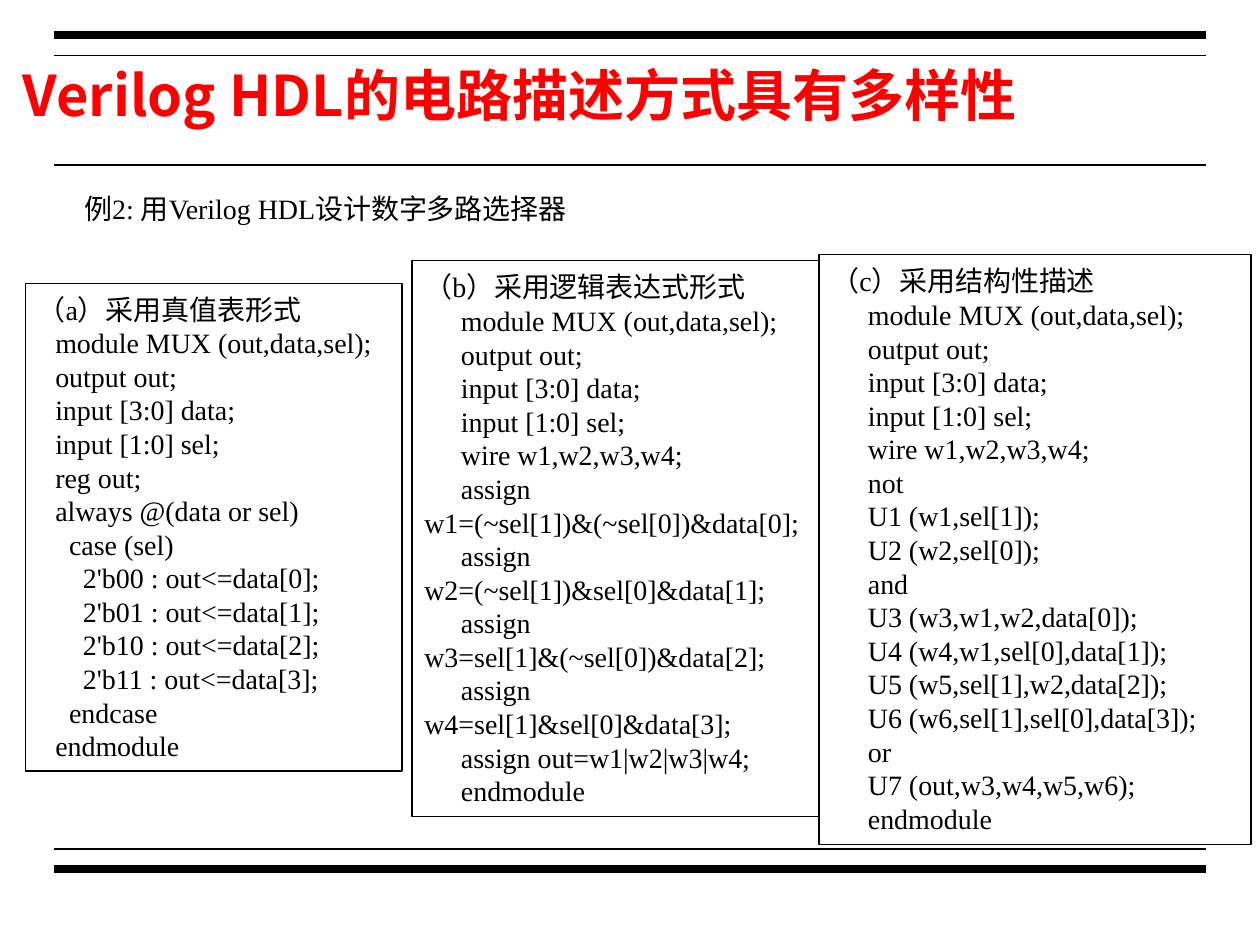
from dataclasses import dataclass

from lxml import etree
from pptx import Presentation
from pptx.dml.color import RGBColor
from pptx.enum.shapes import MSO_CONNECTOR, MSO_SHAPE
from pptx.enum.text import MSO_ANCHOR, MSO_AUTO_SIZE, PP_ALIGN
from pptx.oxml.ns import qn
from pptx.util import Inches, Pt

STRAIGHT = MSO_CONNECTOR.STRAIGHT
RECTANGLE = MSO_SHAPE.RECTANGLE
MIDDLE = MSO_ANCHOR.MIDDLE
GROW = MSO_AUTO_SIZE.SHAPE_TO_FIT_TEXT
LEFT = PP_ALIGN.LEFT
TITLE_ONLY = 5


@dataclass
class Theme:
    black: RGBColor = RGBColor(0, 0, 0)
    red: RGBColor = RGBColor(255, 0, 0)
    title_font: str = "Noto Sans CJK JP"
    body_font: str = "Times New Roman"
    east_asian_font: str = "Noto Sans CJK JP"
    title_size: int = 32
    body_size: int = 16
    line_spacing: float = 1.0
    border: float = 0.75
    thin: float = 1
    thick: float = 4.5
    space: float = 0.055  # width of one leading space in code, inches


class SlideBuilder:
    def __init__(self, prs, theme):
        self.theme = theme
        self.s = prs.slides.add_slide(prs.slide_layouts[TITLE_ONLY])

    def rule(self, y, width):
        """Horizontal rule across the page."""
        line = self.s.shapes.add_connector(
            STRAIGHT, Inches(0.43), Inches(y), Inches(9.57), Inches(y))
        line.line.color.rgb = self.theme.black
        line.line.width = Pt(width)
        etree.SubElement(line._element.spPr, qn("a:effectLst"))

    def place(self, sp, box):
        for name, value in zip(("left", "top", "width", "height"), box):
            setattr(sp, name, Inches(value))

    def paragraph(self, p, text, font, size, color, bold=False, indent=0):
        p.alignment = LEFT
        pPr = p._p.get_or_add_pPr()
        pPr.set("marL", "0")
        pPr.set("indent", str(Inches(indent)))
        r = p.add_run()
        r.text = text
        style = {"name": font, "size": Pt(size), "bold": bold}
        for name, value in style.items():
            setattr(r.font, name, value)
        r.font.color.rgb = color
        ea = etree.SubElement(r._r.get_or_add_rPr(), qn("a:ea"))
        ea.set("typeface", self.theme.east_asian_font)

    def body(self, p, text, indent=0):
        t = self.theme
        p.line_spacing = t.line_spacing
        self.paragraph(p, text, t.body_font, t.body_size, t.black, indent=indent)

    def title(self, text, box):
        t = self.theme
        sp = self.s.shapes.title
        self.place(sp, box)
        sp.text_frame.vertical_anchor = MIDDLE
        self.paragraph(sp.text_frame.paragraphs[0], text, t.title_font,
                       t.title_size, t.red, bold=True)

    def caption(self, text, box, indent):
        sp = self.s.shapes.add_textbox(*map(Inches, box))
        tf = sp.text_frame
        tf.word_wrap = False
        tf.vertical_anchor = MIDDLE
        self.body(tf.paragraphs[0], text, indent)

    def code_box(self, heading, code, box, indent):
        """Framed listing; leading spaces become extra indent."""
        sp = self.s.shapes.add_shape(RECTANGLE, *map(Inches, box))
        sp.shadow.inherit = False
        sp.fill.background()
        sp.line.color.rgb = self.theme.black
        sp.line.width = Pt(self.theme.border)
        tf = sp.text_frame
        frame = {"word_wrap": True, "vertical_anchor": MIDDLE, "auto_size": GROW}
        for name, value in frame.items():
            setattr(tf, name, value)
        self.body(tf.paragraphs[0], heading)
        for line in code.strip().splitlines():
            text = line.lstrip()
            depth = len(line) - len(text)
            self.body(tf.add_paragraph(), text, indent + depth * self.theme.space)


TRUTH_TABLE = """
module MUX (out,data,sel);
output out;
input [3:0] data;
input [1:0] sel;
reg out;
always @(data or sel)
  case (sel)
    2'b00 : out<=data[0];
    2'b01 : out<=data[1];
    2'b10 : out<=data[2];
    2'b11 : out<=data[3];
  endcase
endmodule
"""

LOGIC = """
module MUX (out,data,sel);
output out;
input [3:0] data;
input [1:0] sel;
wire w1,w2,w3,w4;
assign w1=(~sel[1])&(~sel[0])&data[0];
assign w2=(~sel[1])&sel[0]&data[1];
assign w3=sel[1]&(~sel[0])&data[2];
assign w4=sel[1]&sel[0]&data[3];
assign out=w1|w2|w3|w4;
endmodule
"""

STRUCTURE = """
module MUX (out,data,sel);
output out;
input [3:0] data;
input [1:0] sel;
wire w1,w2,w3,w4;
not
U1 (w1,sel[1]);
U2 (w2,sel[0]);
and
U3 (w3,w1,w2,data[0]);
U4 (w4,w1,sel[0],data[1]);
U5 (w5,sel[1],w2,data[2]);
U6 (w6,sel[1],sel[0],data[3]);
or
U7 (out,w3,w4,w5,w6);
endmodule
"""


def main():
    prs = Presentation()
    prs.slide_width, prs.slide_height = Inches(10), Inches(7.5)
    theme = Theme()
    page = SlideBuilder(prs, theme)

    # Page rules
    for y in (0.28, 6.9):
        page.rule(y, theme.thick)
    for y in (0.44, 1.31, 6.74):
        page.rule(y, theme.thin)

    # Heading
    page.title("Verilog HDL的电路描述方式具有多样性", (0.08, 0.25, 9.33, 1))
    page.caption("例2: 用Verilog HDL设计数字多路选择器",
                 (0.28, 1.47, 4.54, 0.37), 0.29)

    # Three descriptions of the multiplexer
    listings = (
        ("（a）采用真值表形式", TRUTH_TABLE, (0.2, 2.25, 2.99, 3.87), 0.14),
        ("（b）采用逻辑表达式形式", LOGIC, (3.27, 2.07, 3.23, 4.41), 0.29),
        ("（c）采用结构性描述", STRUCTURE, (6.5, 2.02, 3.43, 4.68), 0.29),
    )
    for listing in listings:
        page.code_box(*listing)

    prs.save("out.pptx")


if __name__ == "__main__":
    main()
